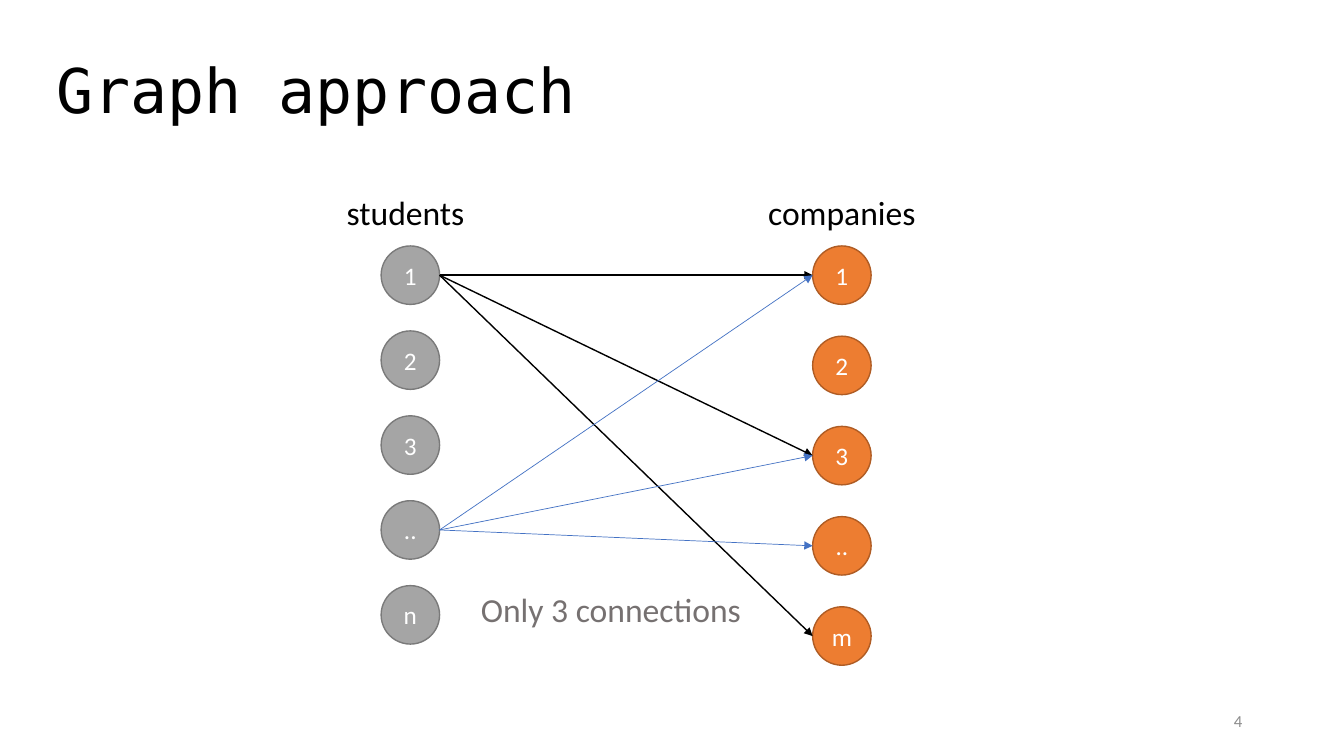
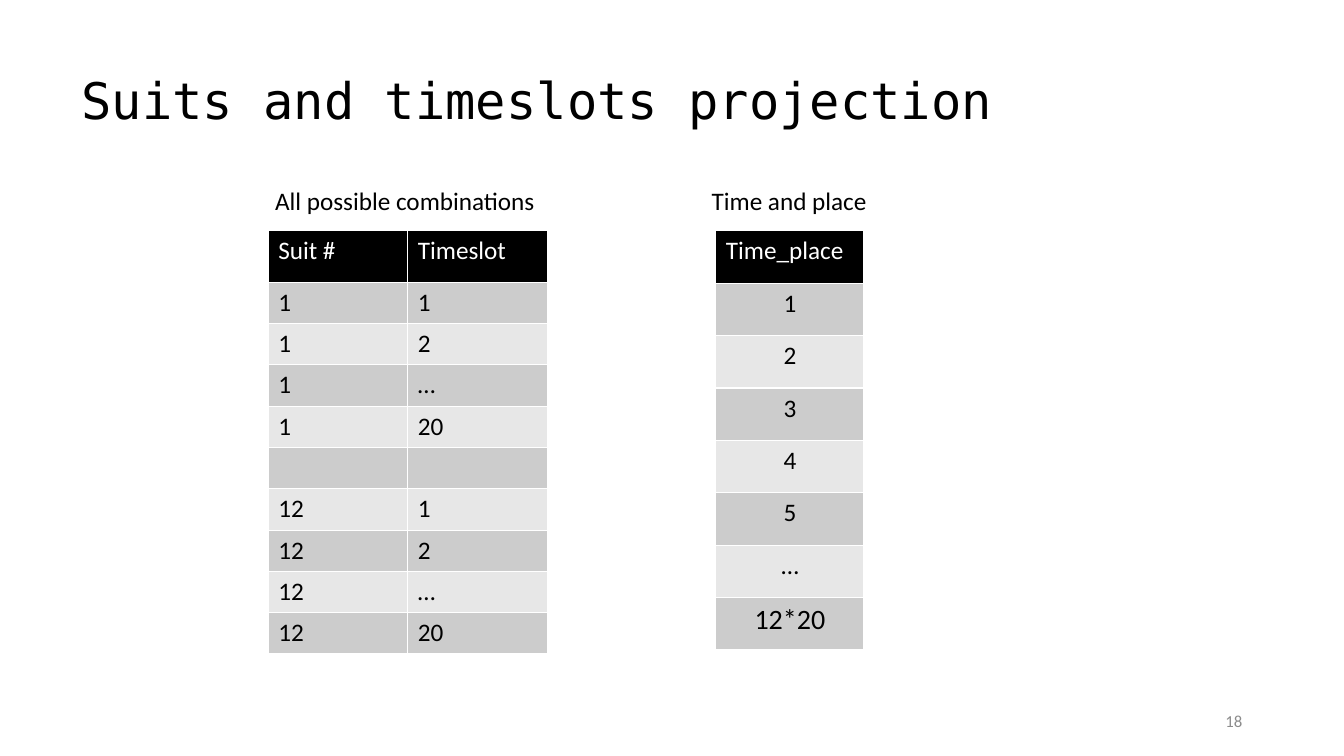
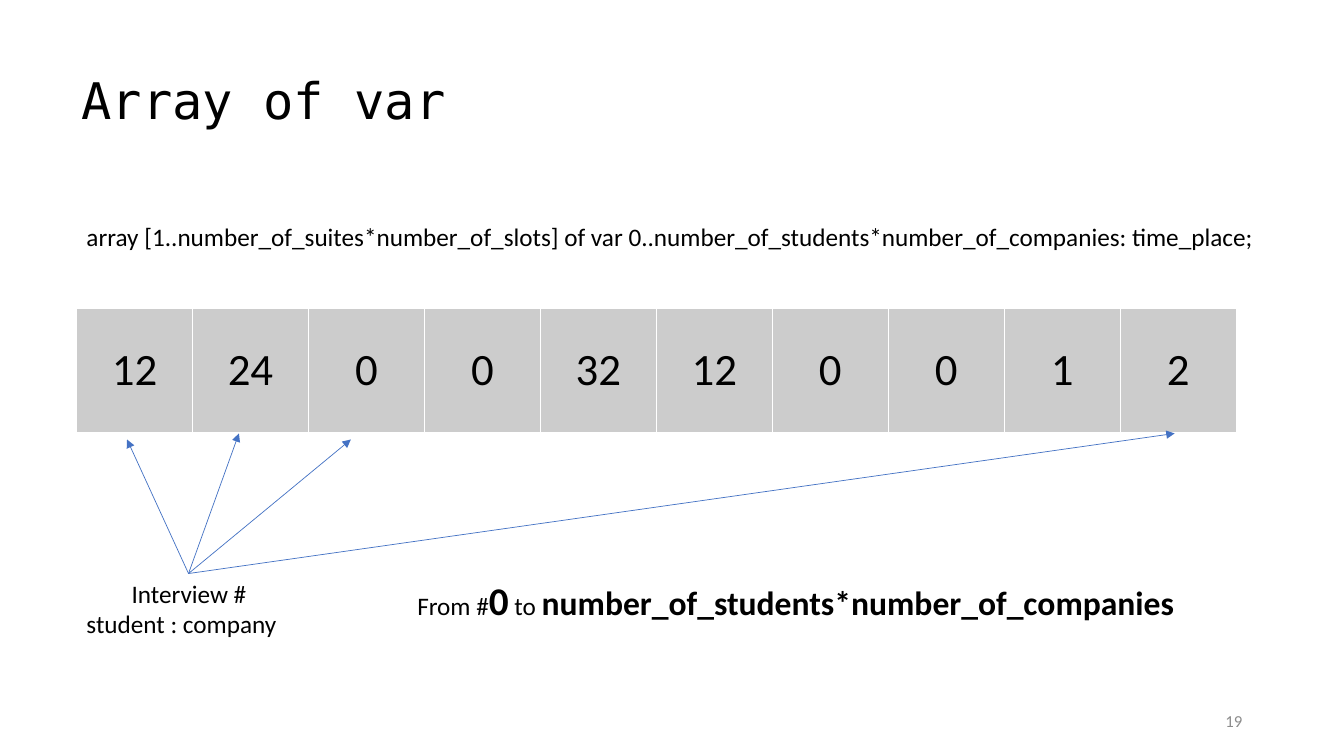
import pptx
import pptx.dml.color
import pptx.enum.shapes
import pptx.enum.text
import pptx.oxml
import pptx.oxml.ns
import pptx.util
from lxml import etree

Inches = pptx.util.Inches
Pt = pptx.util.Pt
ALIGN = pptx.enum.text.PP_ALIGN
MIDDLE = pptx.enum.text.MSO_ANCHOR.MIDDLE
qn = pptx.oxml.ns.qn

COLORS = {
    "black": "000000",
    "white": "FFFFFF",
    "note": "767171",
    "page_number": "8C8C8C",
    "student": "A5A5A5",
    "student_edge": "7A7A7A",
    "company": "ED7D31",
    "company_edge": "AF5C24",
    "blue": "4472C4",
    "dark_band": "CCCCCC",
    "light_band": "E7E7E7",
}
BODY_FONT = "Calibri"
TITLE_FONT = "DejaVu Sans Mono"
NODE_SIZE = 0.58


def rgb(color):
    return pptx.dml.color.RGBColor.from_string(COLORS[color])


def style(paragraph, size, color="black", align=ALIGN.LEFT, font=BODY_FONT):
    paragraph.alignment = align
    paragraph.font.name = font
    paragraph.font.size = Pt(size)
    paragraph.font.bold = False
    paragraph.font.color.rgb = rgb(color)


def add_text(slide, text, left, top, width, height, size, wrap=True, anchor=None, **look):
    """Add a text box in one style and return its paragraphs."""
    box = slide.shapes.add_textbox(Inches(left), Inches(top), Inches(width), Inches(height))
    frame = box.text_frame
    frame.word_wrap = wrap
    frame.vertical_anchor = anchor
    frame.text = text
    for paragraph in frame.paragraphs:
        style(paragraph, size, **look)
    return frame.paragraphs


def add_slide(deck, title, number, left=0.71, top=0.55, height=0.94, size=36):
    """Add a blank slide with the shared title and page number."""
    slide = deck.slides.add_slide(deck.slide_layouts[6])
    heading = add_text(slide, title, left, top, 11.5, height, size, anchor=MIDDLE, font=TITLE_FONT)
    heading[0].line_spacing = 0.9
    add_text(slide, number, 9.42, 6.95, 3, 0.4, 12, anchor=MIDDLE,
             color="page_number", align=ALIGN.RIGHT)
    return slide


def add_arrow(slide, start, end, color="blue", width=0.5):
    arrow = slide.shapes.add_connector(
        pptx.enum.shapes.MSO_CONNECTOR.STRAIGHT, *(Inches(v) for v in (*start, *end)))
    arrow.line.color.rgb = rgb(color)
    arrow.line.width = Pt(width)
    etree.SubElement(arrow.line._get_or_add_ln(), qn("a:tailEnd"), type="triangle")
    etree.SubElement(arrow._element.spPr, qn("a:effectLst"))


def add_nodes(slide, labels, left, top, bottom, kind):
    """Add an evenly spaced column of circles and return the height of each centre."""
    pitch = (bottom - top) / (len(labels) - 1)
    centres = {}
    for index, label in enumerate(labels):
        node_top = top + index * pitch
        node = slide.shapes.add_shape(
            pptx.enum.shapes.MSO_SHAPE.OVAL, Inches(left), Inches(node_top),
            Inches(NODE_SIZE), Inches(NODE_SIZE))
        node.shadow.inherit = False
        node.fill.solid()
        node.fill.fore_color.rgb = rgb(kind)
        node.line.color.rgb = rgb(kind + "_edge")
        node.line.width = Pt(1)
        node.text_frame.text = label
        node.text_frame.vertical_anchor = MIDDLE
        style(node.text_frame.paragraphs[0], 18, "white", ALIGN.CENTER)
        centres[label] = node_top + NODE_SIZE / 2
    return centres


def add_white_borders(cell):
    properties = cell._tc.get_or_add_tcPr()
    for side in ("lnL", "lnR", "lnT", "lnB"):
        border = etree.SubElement(properties, qn("a:" + side), w=str(Pt(1)))
        fill = etree.SubElement(border, qn("a:solidFill"))
        etree.SubElement(fill, qn("a:srgbClr"), val=COLORS["white"])


def add_table(slide, rows, left, top, width, row_heights, size=18,
              align=ALIGN.LEFT, header=True, anchor=None):
    """Add a banded table, with a black first row if header is set."""
    table = slide.shapes.add_table(
        len(rows), len(rows[0]), Inches(left), Inches(top),
        Inches(width), Inches(sum(row_heights))).table
    table.first_row = header
    for r, (values, height) in enumerate(zip(rows, row_heights)):
        table.rows[r].height = Inches(height)
        is_header = header and r == 0
        band = "dark_band" if r % 2 == header else "light_band"
        for c, value in enumerate(values):
            cell = table.cell(r, c)
            add_white_borders(cell)
            cell.fill.solid()
            cell.fill.fore_color.rgb = rgb("black" if is_header else band)
            cell.text = value
            cell.vertical_anchor = anchor
            style(cell.text_frame.paragraphs[0], size, "white" if is_header else "black",
                  ALIGN.LEFT if is_header else align)
    return table


def build_graph(deck):
    slide = add_slide(deck, "Graph approach", "4", left=0.46, top=0.2, height=1.45, size=44)
    student_left, company_left = 3.78, 8.06
    students = add_nodes(slide, ["1", "2", "3", "..", "n"], student_left, 2.44, 5.81, "student")
    companies = add_nodes(slide, ["1", "2", "3", "..", "m"], company_left, 2.44, 6.02, "company")
    for student, chosen, color, width in (("1", ("1", "3", "m"), "black", 1),
                                          ("..", ("1", "3", ".."), "blue", 0.5)):
        for company in chosen:
            add_arrow(slide, (student_left + NODE_SIZE, students[student]),
                      (company_left, companies[company]), color, width)
    add_text(slide, "students", 3.34, 1.85, 1.38, 0.5, 24, wrap=False)
    add_text(slide, "companies", 7.52, 1.85, 1.68, 0.5, 24, wrap=False)
    add_text(slide, "Only 3 connections", 4.67, 5.79, 2.81, 0.5, 24, wrap=False, color="note")


def build_projection(deck):
    slide = add_slide(deck, "Suits and timeslots projection", "18")
    slots = ["1", "2", "…", "20"]
    combinations = [("Suit #", "Timeslot"), *(("1", slot) for slot in slots),
                    ("", ""), *(("12", slot) for slot in slots)]
    add_text(slide, "All possible combinations", 2.63, 1.79, 2.81, 0.4, 18, wrap=False)
    add_table(slide, combinations, 2.66, 2.29, 2.77, [0.51] + [0.41] * 9)

    places = [(place,) for place in ("Time_place", "1", "2", "3", "4", "5", "…", "12*20")]
    add_text(slide, "Time and place", 6.96, 1.79, 1.76, 0.4, 18, wrap=False)
    table = add_table(slide, places, 7.1, 2.29, 1.47, [0.52] * 8, align=ALIGN.CENTER)
    table.cell(7, 0).text_frame.paragraphs[0].font.size = Pt(20)


def build_array(deck):
    slide = add_slide(deck, "Array of var", "19")
    add_table(slide, [("12", "24", "0", "0", "32", "12", "0", "0", "1", "2")],
              0.76, 3.06, 11.5, [1.23], 32, ALIGN.CENTER, header=False, anchor=MIDDLE)
    add_text(slide, "array [1..number_of_suites*number_of_slots] of var "
             "0..number_of_students*number_of_companies: time_place;",
             0.76, 2.15, 12.17, 0.4, 18)
    interview = add_text(slide, "Interview #\nstudent : company", 0.76, 5.69, 2.23, 0.71, 18)
    interview[0].alignment = ALIGN.CENTER
    for tip in ((1.26, 4.36), (2.37, 4.3), (3.48, 4.36), (11.65, 4.3)):
        add_arrow(slide, (1.87, 5.69), tip)

    value_range = add_text(slide, "", 4.04, 5.67, 7.91, 0.57, 18)[0]
    for text, size, bold in (("From #", 18, False), ("0", 28, True), (" to ", 18, False),
                             ("number_of_students*number_of_companies", 24, True)):
        run = value_range.add_run()
        run.text = text
        run.font.size = Pt(size)
        run.font.bold = bold


def main():
    deck = pptx.Presentation()
    deck.slide_width = Inches(13.33)
    deck.slide_height = Inches(7.5)
    build_graph(deck)
    build_projection(deck)
    build_array(deck)
    deck.save("out.pptx")


if __name__ == "__main__":
    main()
